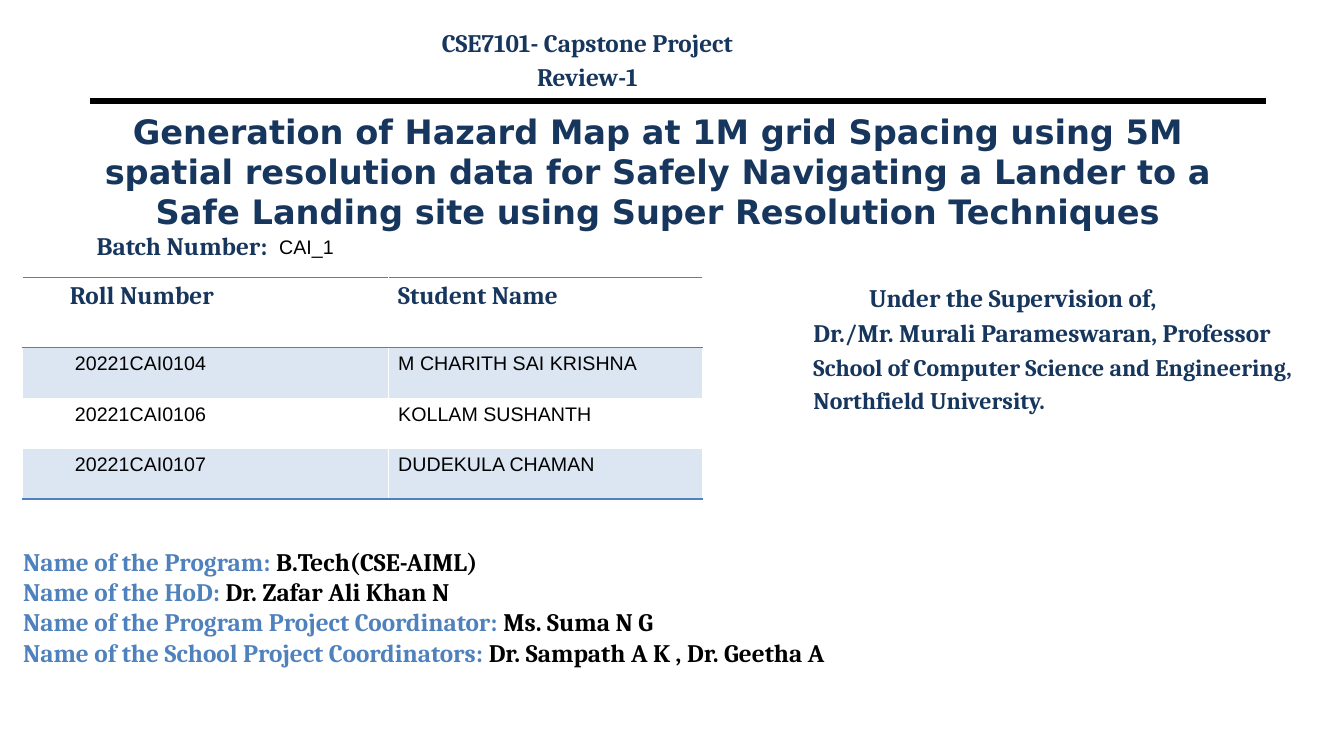
from dataclasses import dataclass

from lxml.etree import SubElement
from pptx import Presentation
from pptx.dml.color import RGBColor
from pptx.enum.shapes import MSO_CONNECTOR
from pptx.enum.text import MSO_ANCHOR, PP_ALIGN
from pptx.oxml import parse_xml
from pptx.oxml.ns import qn
from pptx.util import Emu, Inches, Pt

WIDE, HIGH = Inches(13.33), Inches(7.5)
NAVY, BLUE, PALE, BLACK = "17365D", "4F81BD", "DCE6F2", "000000"
NS = "http://schemas.openxmlformats.org/drawingml/2006/main"


@dataclass
class Run:
    text: str
    size: float = 18
    font: str = "Cambria"
    hue: str = NAVY
    bold: bool = True


@dataclass
class Para:
    runs: list[Run]
    mid: bool = False
    gap: float = 0
    dent: float = 0


@dataclass
class Box:
    """Place and size in percent of the slide."""
    left: float
    top: float
    width: float
    height: float
    paras: list[Para]
    anchor: MSO_ANCHOR = MSO_ANCHOR.TOP


def across(share: float) -> Emu:
    return Emu(round(WIDE * share / 100))


def down(share: float) -> Emu:
    return Emu(round(HIGH * share / 100))


def color(code: str) -> RGBColor:
    return RGBColor.from_string(code)


def write(frame, paras: list[Para]) -> None:
    for n, para in enumerate(paras):
        line = frame.paragraphs[0] if n == 0 else frame.add_paragraph()
        line.alignment = PP_ALIGN.CENTER if para.mid else PP_ALIGN.LEFT
        line.space_before = Pt(para.gap)
        if para.dent:
            line._p.get_or_add_pPr().set("marL", str(across(para.dent)))
        for item in para.runs:
            run = line.add_run()
            run.text = item.text
            run.font.size = Pt(item.size)
            run.font.name = item.font
            run.font.bold = item.bold
            run.font.color.rgb = color(item.hue)


def add_box(slide, box: Box) -> None:
    shape = slide.shapes.add_textbox(
        across(box.left), down(box.top), across(box.width), down(box.height))
    frame = shape.text_frame
    frame.word_wrap = True
    frame.vertical_anchor = box.anchor
    write(frame, box.paras)


def add_rule(slide, left: float, right: float, top: float) -> None:
    rule = slide.shapes.add_connector(
        MSO_CONNECTOR.STRAIGHT, across(left), down(top), across(right), down(top))
    rule.line.color.rgb = color(BLACK)
    rule.line.width = Pt(4.5)
    SubElement(rule._element.spPr, qn("a:effectLst"))


def edge(cell, side: str) -> None:
    cell._tc.get_or_add_tcPr().insert(0, parse_xml(
        f'<a:{side} xmlns:a="{NS}" w="{Pt(1)}"><a:solidFill>'
        f'<a:srgbClr val="{BLUE}"/></a:solidFill></a:{side}>'))


def add_roll(slide, rows: list[tuple[str, str]]) -> None:
    cols, head, body = (27.23, 23.41), 9.33, 6.67
    grid = slide.shapes.add_table(
        len(rows), len(cols), across(1.65), down(36.67), across(sum(cols)),
        down(head + body * (len(rows) - 1))).table
    grid.first_row = grid.horz_banding = False
    for col, width in zip(grid.columns, cols):
        col.width = across(width)
    last = len(rows) - 1
    for r, row in enumerate(rows):
        grid.rows[r].height = down(body if r else head)
        for c, text in enumerate(row):
            cell = grid.cell(r, c)
            if r % 2:
                cell.fill.solid()
                cell.fill.fore_color.rgb = color(PALE)
            else:
                cell.fill.background()
            if c == 0:
                cell.margin_left = across(3.93 if r else 3.55)
            run = Run(text, 14, "Arial", BLACK, False) if r else Run(text)
            write(cell.text_frame, [Para([run])])
            if r in (0, last):
                edge(cell, "lnB")
            if r in (0, 1):
                edge(cell, "lnT")


TITLE = ("Generation of Hazard Map at 1M grid Spacing using 5M spatial resolution "
         "data for Safely Navigating a Lander to a Safe Landing site using "
         "Super Resolution Techniques")

ROLL = [
    ("Roll Number", "Student Name"),
    ("20221CAI0104", "M CHARITH SAI KRISHNA"),
    ("20221CAI0106", "KOLLAM SUSHANTH"),
    ("20221CAI0107", "DUDEKULA CHAMAN"),
]

STAFF = [
    ("Program", "B.Tech(CSE-AIML)"),
    ("HoD", "Dr. Zafar Ali Khan N"),
    ("Program Project Coordinator", "Ms. Suma N G"),
    ("School Project Coordinators", "Dr. Sampath A K , Dr. Geetha A"),
]

GUIDE = [
    ("Dr./Mr. Murali Parameswaran, Professor", 18),
    ("School of Computer Science and Engineering,", 17),
    ("Northfield University.", 17),
]

BOXES = [
    # Course heading
    Box(21.16, 2.93, 45.09, 10.67, [
        Para([Run("CSE7101- Capstone Project")], mid=True),
        Para([Run("Review-1")], mid=True, gap=3.1)]),
    # Project title
    Box(6.45, 15.6, 85, 14,
        [Para([Run(TITLE, 24, "DejaVu Sans")], mid=True)], MSO_ANCHOR.MIDDLE),
    # Batch label and code
    Box(6.45, 29.87, 36, 8, [Para([Run("Batch Number:")])]),
    Box(20.03, 30.4, 14.93, 4.53,
        [Para([Run("CAI_1", 14, "Arial", BLACK, False)])]),
    # Supervisor
    Box(52.29, 36.67, 46.14, 25.33, [
        Para([Run("Under the Supervision of,")], mid=True),
        *(Para([Run(text, size)], gap=3.4, dent=7.5) for text, size in GUIDE)]),
    # Program staff
    Box(0.98, 71.6, 98.5, 22.8, [
        Para([Run(f"Name of the {role}: ", hue=BLUE), Run(name, hue=BLACK)])
        for role, name in STAFF]),
]


def main() -> None:
    deck = Presentation()
    deck.slide_width, deck.slide_height = WIDE, HIGH
    slide = deck.slides.add_slide(deck.slide_layouts[6])
    add_rule(slide, 6.68, 94.22, 13.33)
    for box in BOXES:
        add_box(slide, box)
    add_roll(slide, ROLL)
    deck.save("out.pptx")


if __name__ == "__main__":
    main()
